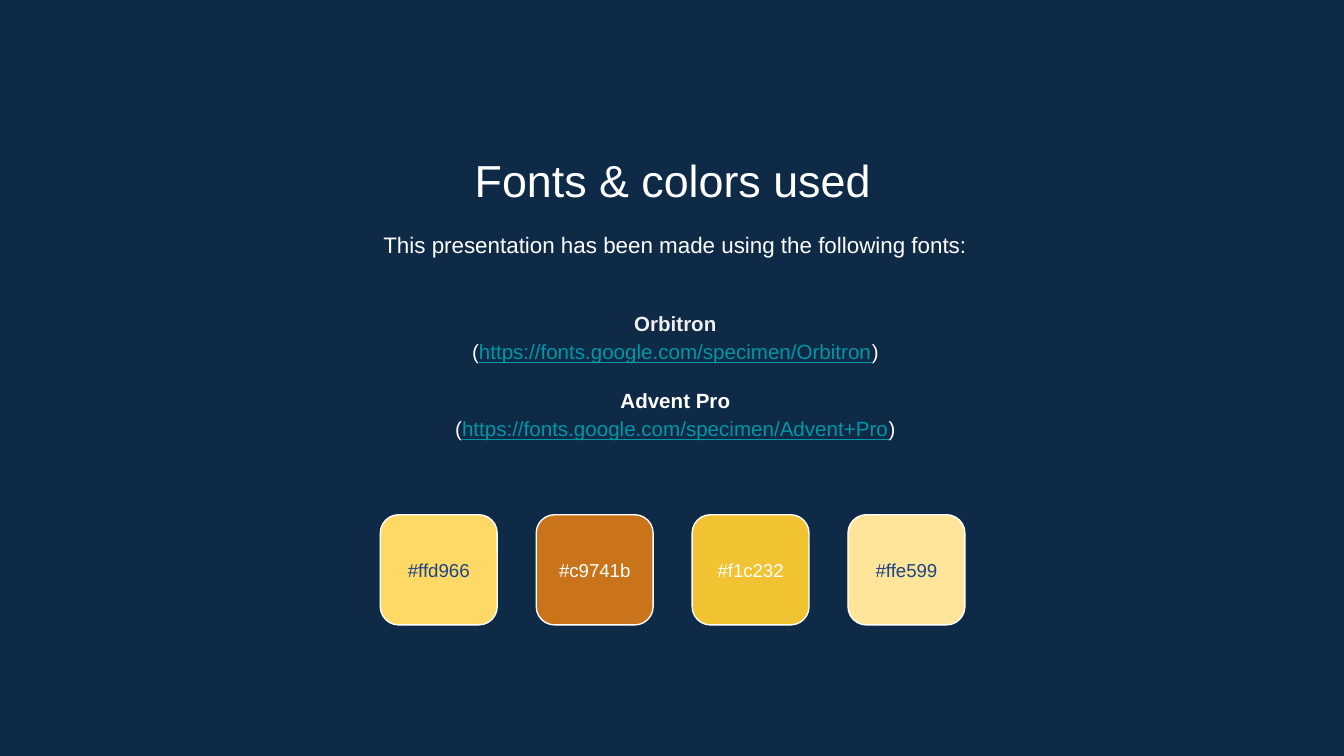
import pptx
import pptx.util
import pptx.dml.color
import pptx.enum.shapes
import pptx.enum.text

INCH = pptx.util.Inches(1)
ANCHOR = pptx.enum.text.MSO_ANCHOR


def color(value):
    return pptx.dml.color.RGBColor.from_string(value)


def write(shape, paragraphs, size, anchor=ANCHOR.MIDDLE, spacing=1.0, gaps=()):
    frame = shape.text_frame
    frame.word_wrap = True
    frame.vertical_anchor = anchor
    frame.margin_left = frame.margin_right = int(0.1 * INCH)
    frame.margin_top = frame.margin_bottom = int(0.1 * INCH)
    for index, runs in enumerate(paragraphs):
        paragraph = frame.add_paragraph() if index else frame.paragraphs[0]
        paragraph.alignment = pptx.enum.text.PP_ALIGN.CENTER
        paragraph.line_spacing = spacing
        if index in gaps:
            paragraph.space_before = pptx.util.Pt(11)
        for text, text_color, style in runs:
            run = paragraph.add_run()
            run.text = text
            run.font.name = "Arial"
            run.font.size = pptx.util.Pt(size)
            run.font.color.rgb = color(text_color)
            run.font.bold = style == "bold"
            run.font.underline = style == "underline"


presentation = pptx.Presentation()
presentation.slide_width = 10 * INCH
presentation.slide_height = presentation.slide_width * 9 // 16
slide = presentation.slides.add_slide(presentation.slide_layouts[6])
slide.background.fill.solid()
slide.background.fill.fore_color.rgb = color("0E2A47")

font_lines = []
for name, name_color, link in [
    ("Orbitron", "EFEFEF", "https://fonts.google.com/specimen/Orbitron"),
    ("Advent Pro", "FFFFFF", "https://fonts.google.com/specimen/Advent+Pro"),
]:
    font_lines.append([(name, name_color, "bold")])
    font_lines.append([("(", "FFFFFF", ""), (link, "0097A7", "underline"), (")", "FFFFFF", "")])

title = [[("Fonts & colors used", "FFFFFF", "")]]
intro = [[("This presentation has been made using the following fonts:", "FFFFFF", "")]]
for left, top, height, paragraphs, size, anchor, spacing, gaps in [
    (1.15, 1.04, 0.53, title, 24, ANCHOR.TOP, 1.0, ()),
    (1.17, 1.59, 0.48, intro, 12, ANCHOR.TOP, 1.15, ()),
    (1.17, 2.1, 1.37, font_lines, 11, ANCHOR.MIDDLE, 1.15, (2,)),
]:
    box = slide.shapes.add_textbox(
        int(left * INCH), int(top * INCH), int(7.71 * INCH), int(height * INCH))
    write(box, paragraphs, size, anchor=anchor, spacing=spacing, gaps=gaps)

first_left, column_step = 2.83, 1.16
swatches = [("ffd966", "1C4587"), ("c9741b", "FFFFFF"), ("f1c232", "FFFFFF"), ("ffe599", "1C4587")]
for column, (swatch_color, label_color) in enumerate(swatches):
    swatch = slide.shapes.add_shape(
        pptx.enum.shapes.MSO_SHAPE.ROUNDED_RECTANGLE,
        int((first_left + column * column_step) * INCH), int(3.83 * INCH),
        int(0.87 * INCH), int(0.82 * INCH))
    swatch.shadow.inherit = False
    swatch.fill.solid()
    swatch.fill.fore_color.rgb = color(swatch_color)
    swatch.line.color.rgb = color("FFFFFF")
    swatch.line.width = pptx.util.Pt(0.75)
    write(swatch, [[("#" + swatch_color, label_color, "")]], 10)

presentation.save("out.pptx")
